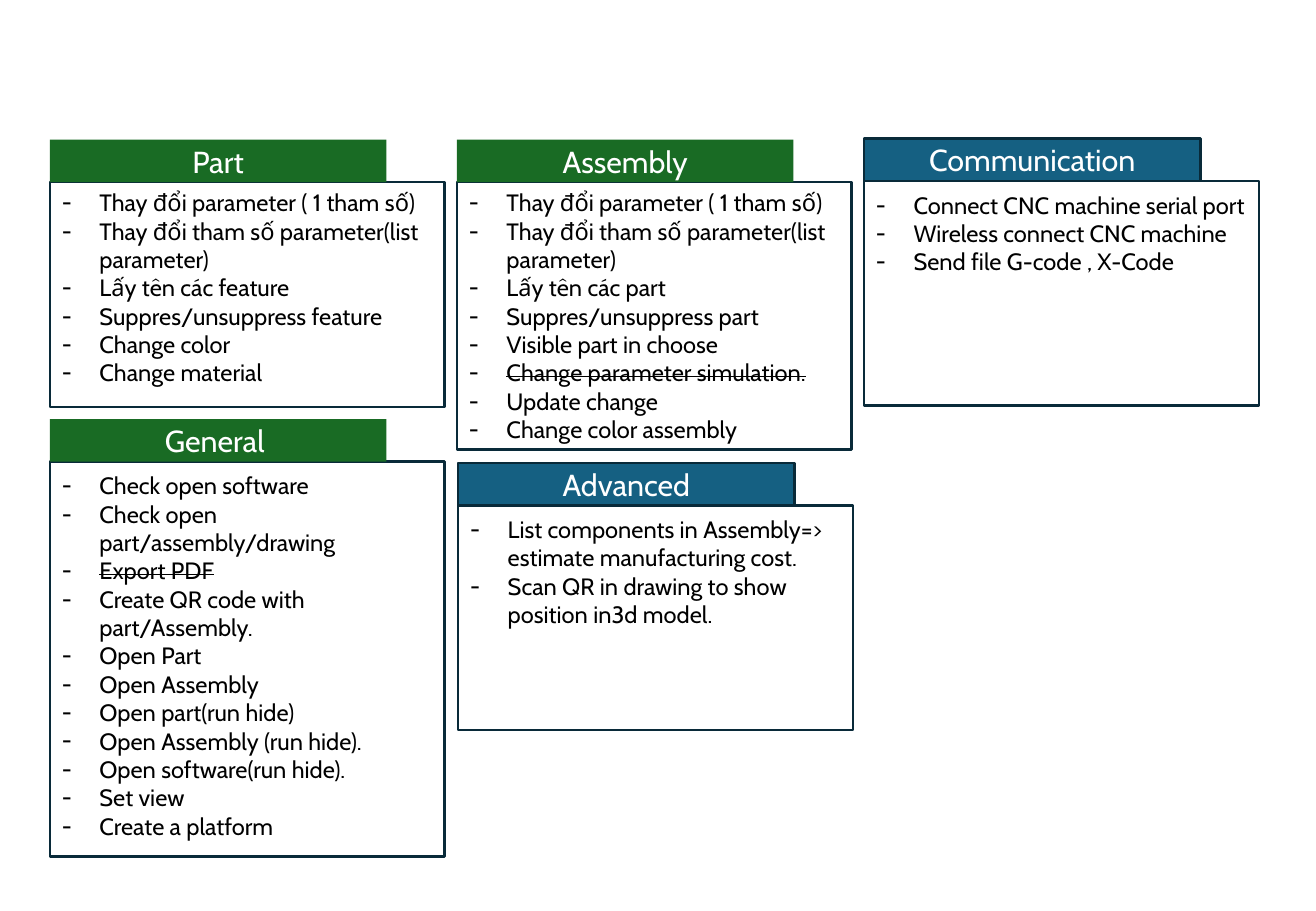
import pptx
import pptx.util
import pptx.dml.color
import pptx.enum.shapes
import pptx.enum.text
import pptx.oxml.ns
from lxml import etree

Inches, Pt = pptx.util.Inches, pptx.util.Pt
RGBColor = pptx.dml.color.RGBColor
PP_ALIGN = pptx.enum.text.PP_ALIGN
MSO_ANCHOR = pptx.enum.text.MSO_ANCHOR

GREEN = RGBColor(0x19, 0x6B, 0x24)
BLUE = RGBColor(0x15, 0x60, 0x82)
NAVY = RGBColor(0x09, 0x2A, 0x39)
WHITE = RGBColor(0xFF, 0xFF, 0xFF)
BLACK = RGBColor(0, 0, 0)

FONT = "Cabin"
CARD_WIDTH, TAB_WIDTH, TAB_HEIGHT = 3.25, 2.77, 0.35
BULLET_INDENT = 0.31

DROPPED = {"Change parameter simulation.", "Export PDF"}  # struck through

# title, tab colour, tab outline, left, frame top, frame height, text offset, items
CARDS = [
    ("Part", GREEN, None, 0.41, 1.5, 1.85, 0, [
        "Thay đổi parameter ( 1 tham số)",
        "Thay đổi tham số parameter(list parameter)",
        "Lấy tên các feature",
        "Suppres/unsuppress feature",
        "Change color",
        "Change material",
    ]),
    ("Assembly", GREEN, None, 3.76, 1.5, 2.2, 0, [
        "Thay đổi parameter ( 1 tham số)",
        "Thay đổi tham số parameter(list parameter)",
        "Lấy tên các part",
        "Suppres/unsuppress part",
        "Visible part in choose",
        "Change parameter simulation.",
        "Update change",
        "Change color assembly",
    ]),
    ("General ", GREEN, None, 0.41, 3.8, 3.25, 0.03, [
        "Check open software",
        "Check open part/assembly/drawing",
        "Export PDF",
        "Create QR code with part/Assembly.",
        "Open Part",
        "Open Assembly",
        "Open part(run hide)",
        "Open Assembly (run hide).",
        "Open software(run hide).",
        "Set view",
        "Create a platform",
    ]),
    ("Advanced", BLUE, NAVY, 3.77, 4.16, 1.85, 0.03, [
        "List components in Assembly=> estimate manufacturing cost.",
        "Scan QR in drawing to show position in3d model.",
    ]),
    ("Communication", BLUE, NAVY, 7.11, 1.49, 1.85, 0.03, [
        "Connect CNC machine serial port",
        "Wireless connect CNC machine",
        "Send file G-code , X-Code",
    ]),
]


def add_rectangle(group, left, top, width, height, fill, line):
    rectangle = group.shapes.add_shape(
        pptx.enum.shapes.MSO_SHAPE.RECTANGLE,
        *map(Inches, (left, top, width, height)))
    rectangle.shadow.inherit = False
    if fill is None:
        rectangle.fill.background()
    else:
        rectangle.fill.solid()
        rectangle.fill.fore_color.rgb = fill
    if line is None:
        rectangle.line.fill.background()
    else:
        rectangle.line.color.rgb = line
        rectangle.line.width = Pt(1.5)
    return rectangle


def write(paragraph, text, size, color):
    run = paragraph.add_run()
    run.text = text
    for name, value in {"name": FONT, "size": Pt(size)}.items():
        setattr(run.font, name, value)
    run.font.color.rgb = color
    return run


def set_dash_bullet(paragraph):
    properties = paragraph._p.get_or_add_pPr()
    properties.set("marL", str(Inches(BULLET_INDENT)))
    properties.set("indent", str(-Inches(BULLET_INDENT)))
    for tag, key, value in (("a:buFont", "typeface", FONT), ("a:buChar", "char", "-")):
        etree.SubElement(properties, pptx.oxml.ns.qn(tag)).set(key, value)


def add_items(group, left, top, width, height, items):
    box = group.shapes.add_textbox(*map(Inches, (left, top, width, height)))
    frame = box.text_frame
    frame.word_wrap = True
    for index, item in enumerate(items):
        paragraph = frame.add_paragraph() if index else frame.paragraphs[0]
        set_dash_bullet(paragraph)
        run = write(paragraph, item, 14, BLACK)
        if item in DROPPED:
            run._r.get_or_add_rPr().set("strike", "sngStrike")


def add_card(slide, title, color, outline, left, top, height, offset, items):
    group = slide.shapes.add_group_shape()
    add_rectangle(group, left, top, CARD_WIDTH, height, None, NAVY)
    tab = add_rectangle(group, left, top - TAB_HEIGHT, TAB_WIDTH, TAB_HEIGHT,
                        color, outline)
    tab.text_frame.vertical_anchor = MSO_ANCHOR.MIDDLE
    heading = tab.text_frame.paragraphs[0]
    heading.alignment = PP_ALIGN.CENTER
    write(heading, title, 18, WHITE)
    add_items(group, left, top + offset, CARD_WIDTH, height, items)


def main():
    presentation = pptx.Presentation()
    presentation.slide_width = Inches(10.83)
    presentation.slide_height = Inches(7.5)
    slide = presentation.slides.add_slide(presentation.slide_layouts[6])
    for card in CARDS:
        add_card(slide, *card)
    presentation.save("out.pptx")


if __name__ == "__main__":
    main()
